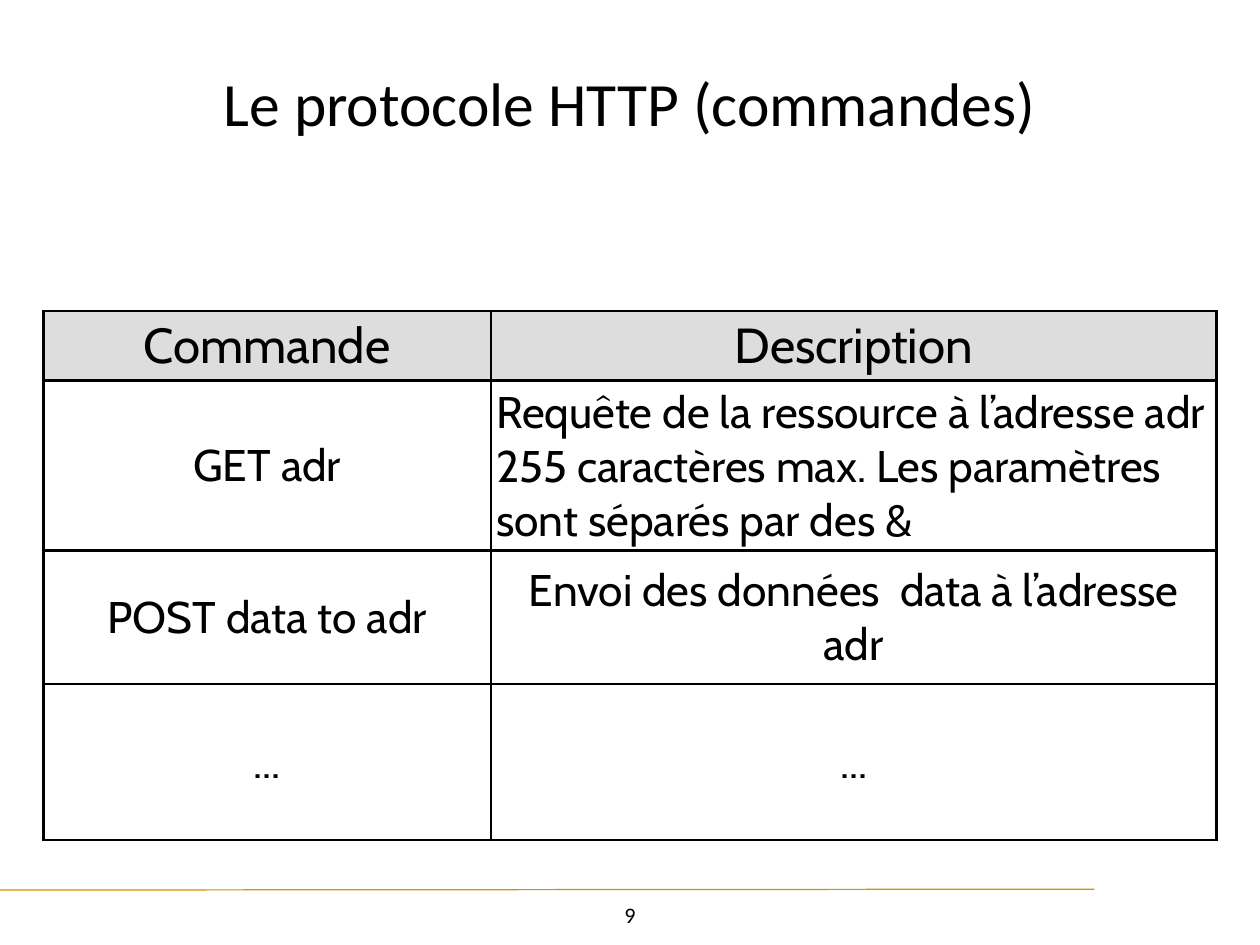
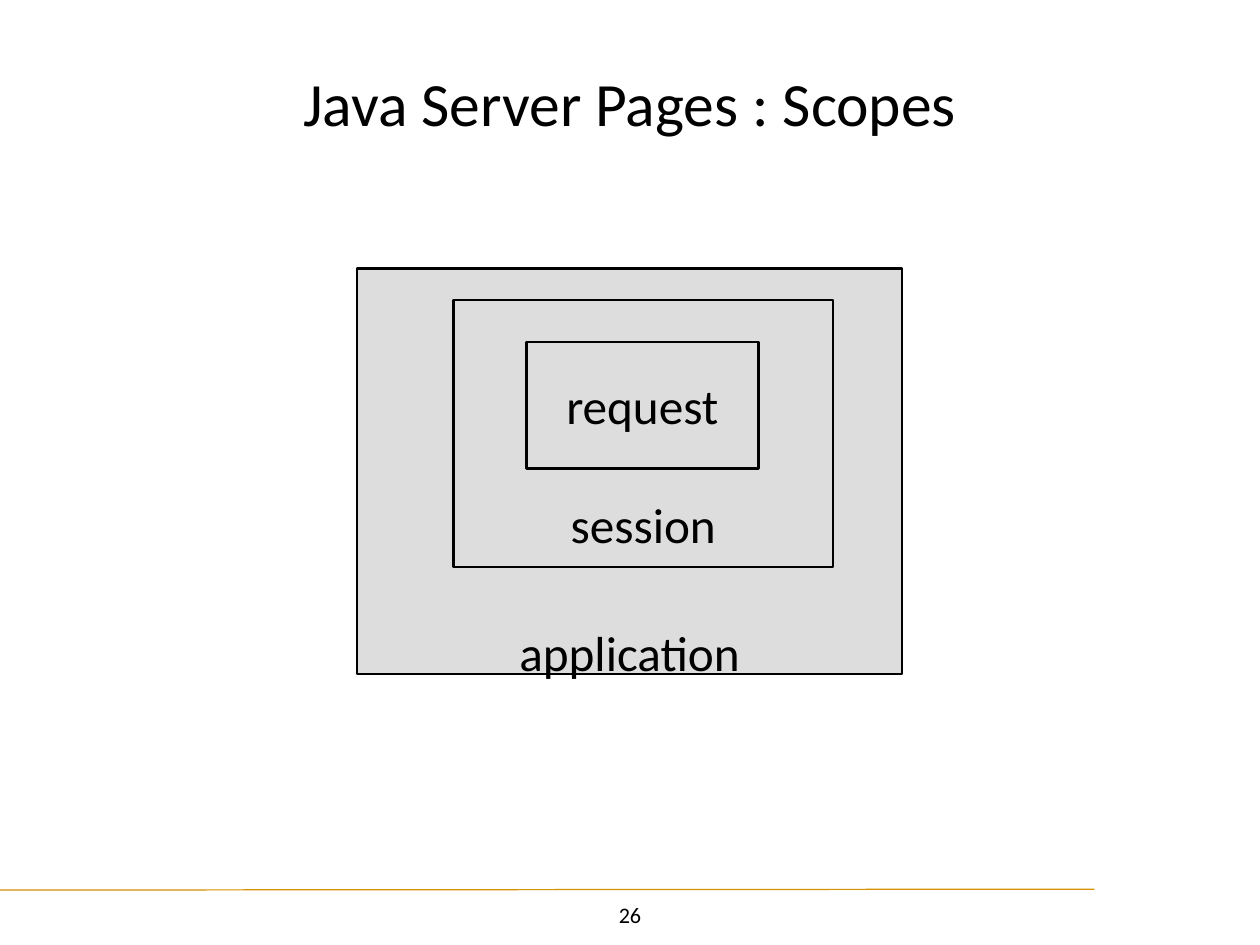
from dataclasses import dataclass

from lxml.etree import SubElement
from pptx import Presentation
from pptx.dml.color import RGBColor
from pptx.enum.shapes import MSO_CONNECTOR, MSO_SHAPE
from pptx.enum.text import MSO_ANCHOR, PP_ALIGN
from pptx.oxml.ns import qn
from pptx.util import Inches, Pt


@dataclass(frozen=True)
class Theme:
    ink: str = "000000"
    panel: str = "DDDDDD"
    rule: str = "D79000"
    font: str = "Calibri"
    table_font: str = "Cabin"
    title: int = 50
    heading: int = 40
    body: int = 36
    number: int = 18
    border: int = 2
    inset: float = 0.06


class Deck:
    def __init__(self, theme):
        self.t = theme
        self.prs = Presentation()
        self.prs.slide_width = Inches(14.22)
        self.prs.slide_height = Inches(10.67)
        self.s = None

    def slide(self, title, number):
        self.s = self.prs.slides.add_slide(self.prs.slide_layouts[6])
        self.rule(-0.39, 10.05, 12.35, 10.04)
        self.text(number, (6.92, 10.12, 0.38, 0.4), self.t.number, MSO_ANCHOR.TOP, False)
        self.text(title, (1.39, 0.28, 11.44, 1.74), self.t.title)

    def rule(self, x1, y1, x2, y2):
        ln = self.s.shapes.add_connector(
            MSO_CONNECTOR.STRAIGHT, *map(Inches, (x1, y1, x2, y2)))
        ln.line.color.rgb = RGBColor.from_string(self.t.rule)
        ln.line.width = Pt(1)
        SubElement(ln._element.spPr, qn("a:effectLst"))

    def add_runs(self, tf, text, size, font, align=PP_ALIGN.CENTER):
        p = tf.paragraphs[0]
        p.alignment = align
        for i, line in enumerate(text.split("\n")):
            if i:
                p.add_line_break()
            r = p.add_run()
            r.text = line
            r.font.size = Pt(size)
            r.font.name = font
            r.font.color.rgb = RGBColor.from_string(self.t.ink)

    def inset(self, box):
        box.margin_left = box.margin_right = Inches(self.t.inset)
        box.margin_top = box.margin_bottom = Inches(self.t.inset)

    def text(self, text, at, size, anchor=MSO_ANCHOR.MIDDLE, wrap=True):
        tf = self.s.shapes.add_textbox(*map(Inches, at)).text_frame
        tf.word_wrap = wrap
        tf.vertical_anchor = anchor
        self.inset(tf)
        self.add_runs(tf, text, size, self.t.font)

    def box(self, text, at, anchor, bottom):
        sp = self.s.shapes.add_shape(MSO_SHAPE.RECTANGLE, *map(Inches, at))
        sp.shadow.inherit = False
        sp.fill.solid()
        sp.fill.fore_color.rgb = RGBColor.from_string(self.t.panel)
        sp.line.color.rgb = RGBColor.from_string(self.t.ink)
        sp.line.width = Pt(self.t.border)
        tf = sp.text_frame
        tf.word_wrap = True
        tf.vertical_anchor = anchor
        self.inset(tf)
        tf.margin_bottom = Inches(bottom)
        self.add_runs(tf, text, self.t.heading, self.t.font)

    def borders(self, cell):
        tcPr = cell._tc.get_or_add_tcPr()
        for i, side in enumerate(("a:lnL", "a:lnR", "a:lnT", "a:lnB")):
            ln = tcPr.makeelement(qn(side), {"w": str(Pt(self.t.border))})
            fill = SubElement(ln, qn("a:solidFill"))
            SubElement(fill, qn("a:srgbClr"), val=self.t.ink)
            tcPr.insert(i, ln)

    def table(self, left, top, widths, heights, rows, left_cells):
        size = sum(widths), sum(heights)
        tbl = self.s.shapes.add_table(
            len(rows), len(widths), *map(Inches, (left, top, *size))).table
        tbl.first_row = tbl.horz_banding = False
        for col, width in zip(tbl.columns, widths):
            col.width = Inches(width)
        for i, (row, height) in enumerate(zip(rows, heights)):
            tbl.rows[i].height = Inches(height)
            for j, text in enumerate(row):
                cell = tbl.cell(i, j)
                cell.vertical_anchor = MSO_ANCHOR.MIDDLE
                self.inset(cell)
                if i == 0:
                    cell.fill.solid()
                    cell.fill.fore_color.rgb = RGBColor.from_string(self.t.panel)
                else:
                    cell.fill.background()
                self.borders(cell)
                self.add_runs(cell.text_frame, text,
                              self.t.body if i else self.t.heading, self.t.table_font,
                              PP_ALIGN.LEFT if (i, j) in left_cells else PP_ALIGN.CENTER)


def main():
    deck = Deck(Theme())

    deck.slide("Le protocole HTTP (commandes)", "9")
    deck.table(0.49, 3.51, (5.05, 8.19), (0.76, 1.85, 1.51, 1.76), (
        ("Commande", "Description"),
        ("GET adr", "Requête de la ressource à l’adresse adr\n"
                    "255 caractères max. Les paramètres sont séparés par des &"),
        ("POST data to adr", "Envoi des données  data à l’adresse adr"),
        ("...", "..."),
    ), {(1, 1)})

    deck.slide("Java Server Pages : Scopes", "26")
    for name, at, anchor, bottom in (
        ("application", (4.03, 3.03, 6.15, 4.58), MSO_ANCHOR.BOTTOM, -0.08),
        ("session", (5.12, 3.39, 4.28, 3.01), MSO_ANCHOR.BOTTOM, 0.15),
        ("request", (5.94, 3.86, 2.62, 1.43), MSO_ANCHOR.MIDDLE, 0.06),
    ):
        deck.box(name, at, anchor, bottom)

    deck.prs.save("out.pptx")


if __name__ == "__main__":
    main()
